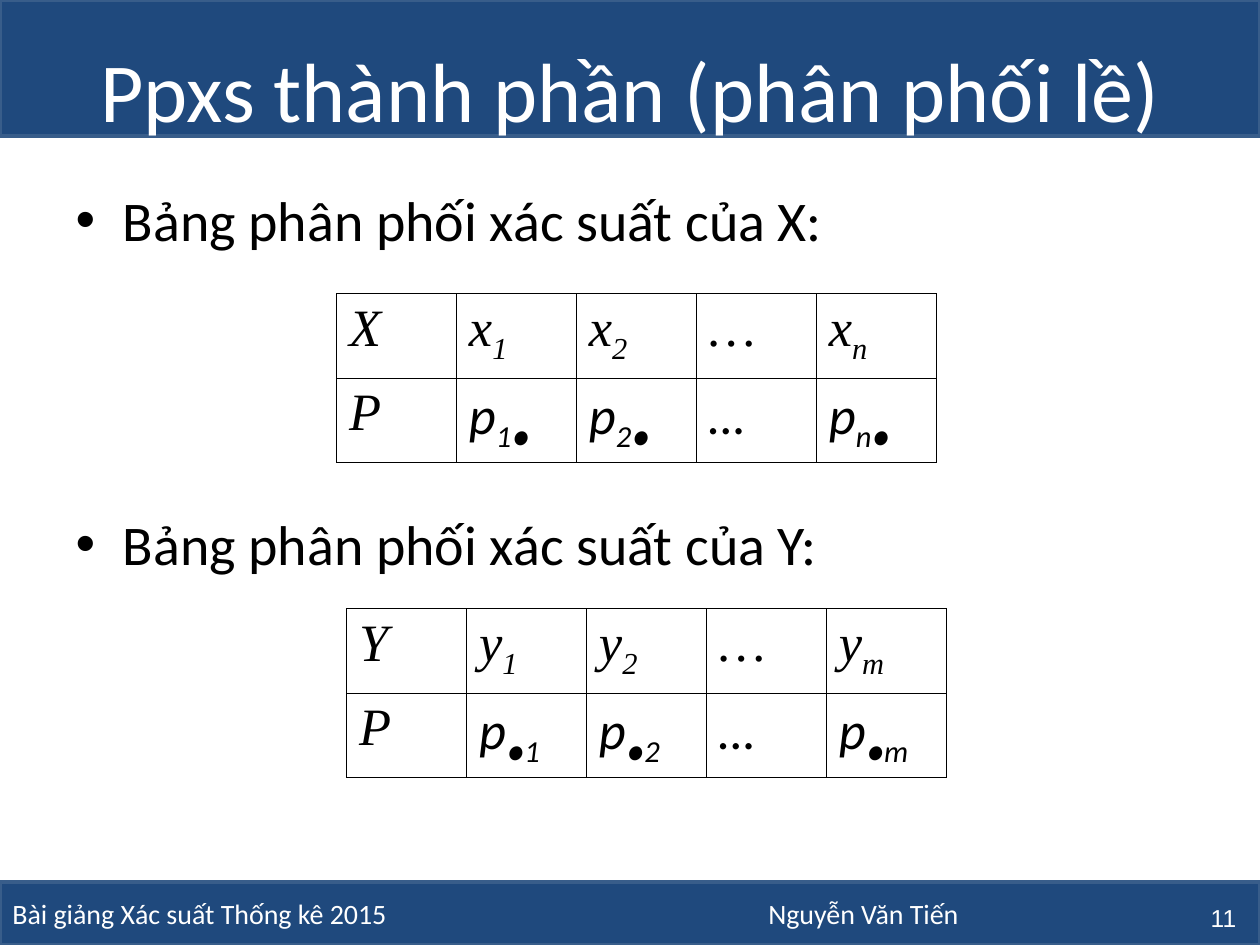
import pptx
import pptx.dml.color
import pptx.enum.shapes
import pptx.enum.text
import pptx.oxml
import pptx.oxml.ns
import pptx.util
from pptx.util import Inches

NAVY, EDGE, WHITE, BLACK = "1F497D", "385D8A", "FFFFFF", "000000"
ALIGN = pptx.enum.text.PP_ALIGN
MIDDLE = pptx.enum.text.MSO_ANCHOR.MIDDLE


def color(hex_string):
    """Return the RGB colour for a hex string."""
    return pptx.dml.color.RGBColor.from_string(hex_string)


def style(paragraph, size, name, hex_string, alignment=ALIGN.LEFT, italic=None):
    """Set the font and alignment of a paragraph."""
    font = paragraph.font
    font.size, font.name, font.italic = pptx.util.Pt(size), name, italic
    font.color.rgb = color(hex_string)
    paragraph.alignment = alignment


def place(shape, left, top, width, height):
    """Move and size a shape, in inches."""
    shape.left, shape.top = Inches(left), Inches(top)
    shape.width, shape.height = Inches(width), Inches(height)


def add_band(slide, top, height, position):
    """Add a full-width band behind the placeholders."""
    band = slide.shapes.add_shape(
        pptx.enum.shapes.MSO_SHAPE.RECTANGLE, 0, Inches(top), Inches(10), Inches(height))
    band.shadow.inherit = False
    band.fill.solid()
    band.fill.fore_color.rgb = color(NAVY)
    band.line.color.rgb = color(EDGE)
    band.line.width = pptx.util.Pt(2)
    slide.shapes._spTree.insert(2 + position, band._element)
    return band


def fill_footer(band, left_text, right_text):
    """Write two footer texts, the second at a tab stop."""
    band.text_frame.vertical_anchor = MIDDLE
    paragraph = band.text_frame.paragraphs[0]
    paragraph.text = f"{left_text}\t{right_text}"
    namespace = pptx.oxml.ns.nsdecls("a")
    paragraph._p.get_or_add_pPr().append(pptx.oxml.parse_xml(
        f'<a:tabLst {namespace}><a:tab pos="{Inches(6)}" algn="l"/></a:tabLst>'))
    style(paragraph, 16, "Calibri", WHITE)


def fill_title(title, text):
    """Place and write the slide title."""
    place(title, 0.5, 0.08, 9, 1.25)
    title.text_frame.auto_size = pptx.enum.text.MSO_AUTO_SIZE.NONE
    title.text_frame.vertical_anchor = MIDDLE
    title.text_frame.text = text
    style(title.text_frame.paragraphs[0], 48, "Calibri", WHITE, ALIGN.CENTER)


def fill_body(body, lines, gap):
    """Write bulleted lines with a gap in points between them."""
    place(body, 0.5, 1.42, 9.25, 5.33)
    body.text_frame.auto_size = pptx.enum.text.MSO_AUTO_SIZE.NONE
    body.text_frame.text = "\n".join(lines)
    for index, paragraph in enumerate(body.text_frame.paragraphs):
        style(paragraph, 32, "Calibri", BLACK, ALIGN.JUSTIFY)
        paragraph.space_before = pptx.util.Pt(gap if index else 0)


def add_slide_number(slide, text):
    """Add the slide number at the lower right."""
    box = slide.shapes.add_textbox(Inches(9.08), Inches(7.08), Inches(0.83), Inches(0.4))
    box.text_frame.word_wrap = True
    box.text_frame.vertical_anchor = MIDDLE
    box.text_frame.text = text
    style(box.text_frame.paragraphs[0], 14, "Arial", WHITE, ALIGN.RIGHT)


def add_borders(cell):
    """Draw thin black lines on all sides of a cell."""
    namespace = pptx.oxml.ns.nsdecls("a")
    for position, side in enumerate(("lnL", "lnR", "lnT", "lnB")):
        cell._tc.get_or_add_tcPr().insert(position, pptx.oxml.parse_xml(
            f'<a:{side} {namespace} w="{pptx.util.Pt(0.45)}"><a:solidFill>'
            f'<a:srgbClr val="{BLACK}"/></a:solidFill></a:{side}>'))


def fill_cell(cell, symbol, name):
    """Write a symbol, given as base_subscript, into a cell."""
    base, _, subscript = symbol.partition("_")
    paragraph = cell.text_frame.paragraphs[0]
    paragraph.add_run().text = base
    if subscript:
        run = paragraph.add_run()
        run.text = subscript
        run._r.get_or_add_rPr().set("baseline", "-25000")
    style(paragraph, 30, name, BLACK, italic=True)
    cell.fill.background()
    add_borders(cell)


def add_distribution(slide, left, top, values, probabilities):
    """Add a table of values and their probabilities."""
    rows = (values, probabilities)
    frame = slide.shapes.add_table(
        2, len(values), Inches(left), Inches(top), Inches(4.76), Inches(1.3))
    table = frame.table
    table.first_row = table.horz_banding = False
    for row, height in zip(table.rows, (0.63, 0.67)):
        row.height = Inches(height)
    for row_index, symbols in enumerate(rows):
        for column_index, symbol in enumerate(symbols):
            name = "Calibri" if row_index and column_index else "Times New Roman"
            fill_cell(table.cell(row_index, column_index), symbol, name)


def main():
    """Build and save the slide."""
    presentation = pptx.Presentation()
    presentation.slide_width, presentation.slide_height = Inches(10), Inches(7.5)
    slide = presentation.slides.add_slide(presentation.slide_layouts[1])
    add_band(slide, 0, 1.08, 0)
    footer = add_band(slide, 7, 0.5, 1)
    fill_footer(footer, "Bài giảng Xác suất Thống kê 2015", "Nguyễn Văn Tiến")
    fill_title(slide.shapes.title, "Ppxs thành phần (phân phối lề)")
    fill_body(slide.placeholders[1],
              [f"Bảng phân phối xác suất của {variable}:" for variable in "XY"], 147)
    add_slide_number(slide, "11")
    add_distribution(slide, 2.67, 2.33, ("X", "x_1", "x_2", "…", "x_n"),
                     ("P", "p_1●", "p_2●", "…", "p_n●"))
    add_distribution(slide, 2.75, 4.83, ("Y", "y_1", "y_2", "…", "y_m"),
                     ("P", "p_●1", "p_●2", "…", "p_●m"))
    presentation.save("out.pptx")


if __name__ == "__main__":
    main()
